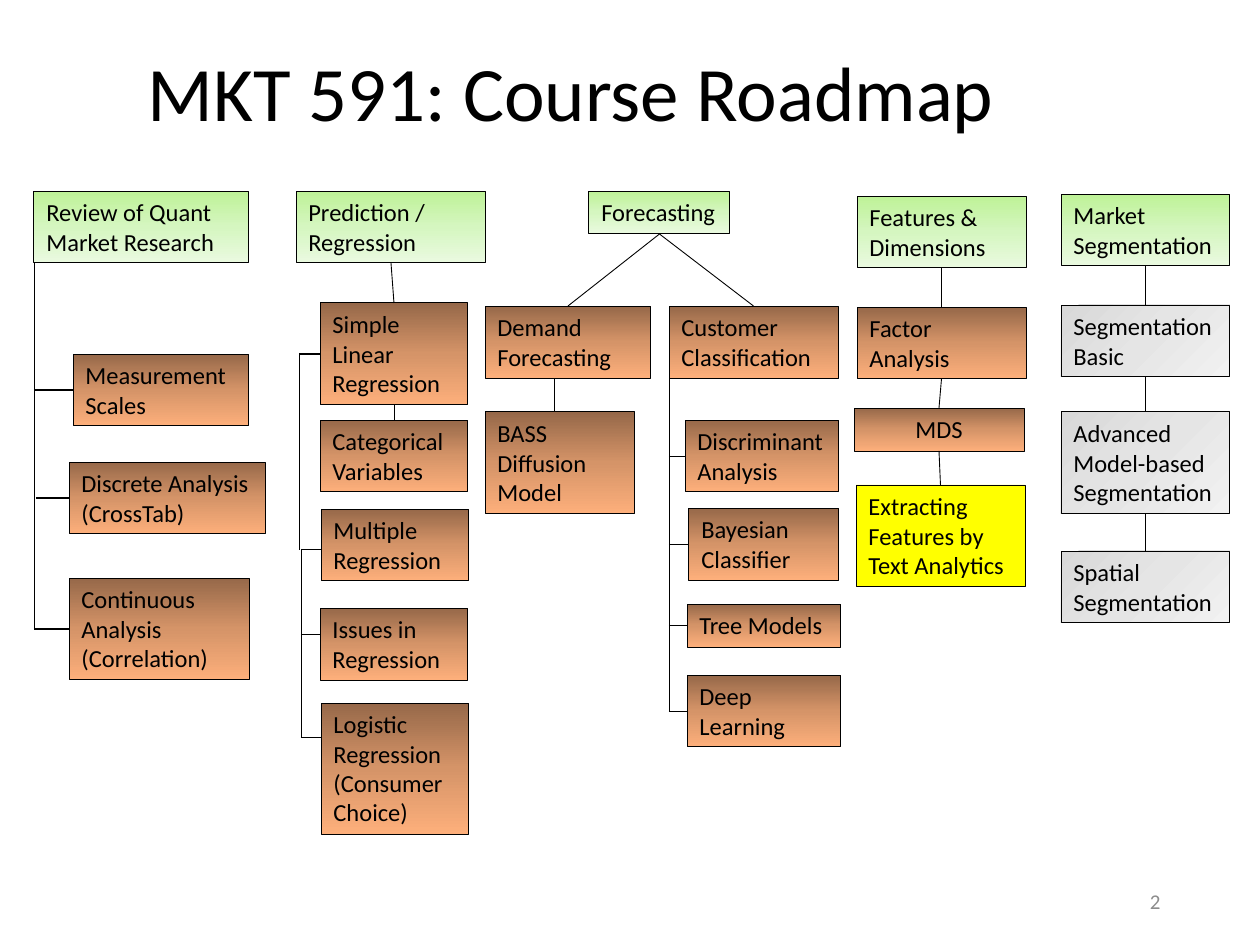
from copy import deepcopy

from lxml.etree import SubElement
from pptx import Presentation
from pptx.dml.color import RGBColor
from pptx.enum.shapes import MSO_CONNECTOR as CONNECTOR, MSO_SHAPE as SHAPE
from pptx.enum.text import MSO_ANCHOR as ANCHOR, MSO_AUTO_SIZE as AUTO_SIZE, PP_ALIGN as ALIGN
from pptx.oxml.ns import qn
from pptx.util import Emu, Pt

PX = 914400 / 126
FONT = "Calibri"
TOP, LEFT, BOTTOM = 0, 1, 2
COLORS = {"black": "000000", "number": "8C8C8C", "yellow": "FFFF00"}
GRADIENTS = {  # clockwise angle, then the stops at 0, 50 and 100 %
    "green": (90, ["BEF297", "D5F6C0", "EAFAE0"]),
    "copper": (90, ["966849", "D59468", "FDAF7B"]),
    "gray": (45, ["D8D8D8", "E5E5E5", "F2F2F2"]),
}
HEIGHTS = {1: 43, 2: 72, 3: 102, 4: 131}  # box height by number of text lines


def px(*lengths):
    """Turn pixel lengths into EMU."""
    return [Emu(round(length * PX)) for length in lengths]


def format_text(text_frame, size, color, align=ALIGN.LEFT):
    paragraph = text_frame.paragraphs[0]
    paragraph.alignment = align
    font = paragraph.runs[0].font
    font.name, font.size = FONT, Pt(size)
    font.color.rgb = RGBColor.from_string(COLORS[color])


presentation = Presentation()
presentation.slide_width, presentation.slide_height = px(1260, 945)
slide = presentation.slides.add_slide(presentation.slide_layouts[5])

# Title and slide number
title = slide.shapes.title
title.left, title.top, title.width, title.height = px(135, 4, 916, 186)
title.text_frame.text = "MKT 591: Course Roadmap"
title.text_frame.vertical_anchor = ANCHOR.MIDDLE
title.text_frame.auto_size = AUTO_SIZE.NONE
title.text_frame.paragraphs[0].line_spacing = 0.9
format_text(title.text_frame, 44, "black")

number = slide.shapes.add_textbox(*px(890, 876, 283, 50))
number.text_frame.text = "2"
number.text_frame.word_wrap = True
number.text_frame.vertical_anchor = ANCHOR.MIDDLE
format_text(number.text_frame, 12, "number", ALIGN.RIGHT)

# Topic boxes: text, fill, left, top, width, text lines
topics = [
    ("Review of Quant Market Research", "green", 34, 191, 215, 2),
    ("Measurement Scales", "copper", 73, 354, 176, 2),
    ("Discrete Analysis (CrossTab)", "copper", 69, 462, 196, 2),
    ("Continuous Analysis (Correlation)", "copper", 69, 578, 180, 3),
    ("Prediction / Regression", "green", 296, 191, 190, 2),
    ("Simple Linear Regression", "copper", 320, 303, 148, 3),
    ("Categorical Variables", "copper", 320, 420, 148, 2),
    ("Multiple Regression", "copper", 321, 509, 148, 2),
    ("Issues in Regression", "copper", 320, 608, 148, 2),
    ("Logistic Regression (Consumer Choice)", "copper", 321, 703, 148, 4),
    ("Forecasting", "green", 589, 191, 141, 1),
    ("Demand Forecasting", "copper", 485, 306, 166, 2),
    ("BASS Diffusion Model", "copper", 485, 412, 150, 3),
    ("Customer Classification", "copper", 669, 306, 169, 2),
    ("Discriminant Analysis", "copper", 685, 420, 154, 2),
    ("Bayesian Classifier", "copper", 689, 508, 150, 2),
    ("Tree Models", "copper", 687, 604, 154, 1),
    ("Deep Learning", "copper", 687, 675, 154, 2),
    ("Features & Dimensions", "green", 857, 196, 169, 2),
    ("Factor Analysis", "copper", 857, 307, 169, 2),
    ("MDS", "copper", 854, 408, 170, 1),
    ("Extracting Features by Text Analytics", "yellow", 856, 485, 169, 3),
    ("Market Segmentation", "green", 1061, 194, 169, 2),
    ("Segmentation Basic", "gray", 1061, 305, 169, 2),
    ("Advanced Model-based Segmentation", "gray", 1061, 412, 169, 3),
    ("Spatial Segmentation", "gray", 1061, 551, 169, 2),
]
boxes = {}
for text, fill_name, left, top, width, line_count in topics:
    box = slide.shapes.add_shape(SHAPE.RECTANGLE, *px(left, top, width, HEIGHTS[line_count]))
    boxes[text] = box
    box.shadow.inherit = False
    box.line.color.rgb = RGBColor.from_string(COLORS["black"])
    box.line.width = Pt(0.5)
    if fill_name in GRADIENTS:
        angle, stop_colors = GRADIENTS[fill_name]
        box.fill.gradient()
        box.fill.gradient_angle = 360 - angle
        stop_list = box._element.xpath(".//a:gsLst")[0]
        stop_list.insert(1, deepcopy(stop_list[0]))
        for index, stop in enumerate(box.fill.gradient_stops):
            stop.position = index / 2
            stop.color.rgb = RGBColor.from_string(stop_colors[index])
    else:
        box.fill.solid()
        box.fill.fore_color.rgb = RGBColor.from_string(COLORS[fill_name])
    box.text_frame.text = text
    box.text_frame.word_wrap = True
    box.text_frame.vertical_anchor = ANCHOR.TOP
    format_text(box.text_frame, 14, "black", ALIGN.CENTER if text == "MDS" else ALIGN.LEFT)

# Lines: start, end, weight
lines = [
    ((34, 263), (34, 629), 0.5),
    ((299, 353), (299, 550), 0.5),
    ((301, 549), (301, 738), 0.5),
    ((301, 549), (321, 549), 0.5),
    ((301, 634), (320, 634), 0.5),
    ((301, 737), (321, 737), 0.5),
    ((554, 378), (554, 412), 0.5),
    ((669, 378), (669, 711), 0.5),
]
connectors = []
for start, end, weight in lines:
    connectors.append((slide.shapes.add_connector(CONNECTOR.STRAIGHT, *px(*start, *end)), weight))

# Branches from a vertical line to the left side of a box
branches = [
    (34, "Measurement Scales", 1.5),
    (36, "Discrete Analysis (CrossTab)", 1.5),
    (34, "Continuous Analysis (Correlation)", 1.5),
    (300, "Simple Linear Regression", 1.5),
    (669, "Discriminant Analysis", 0.5),
    (669, "Bayesian Classifier", 0.5),
    (669, "Tree Models", 0.5),
    (669, "Deep Learning", 0.5),
]
for x, text, weight in branches:
    box = boxes[text]
    middle = box.top + box.height // 2
    connector = slide.shapes.add_connector(CONNECTOR.STRAIGHT, *px(x), middle, box.left, middle)
    connector.end_connect(box, LEFT)
    connectors.append((connector, weight))

# Links from the bottom of one box to the top of the next
links = [
    ("Prediction / Regression", "Simple Linear Regression"),
    ("Simple Linear Regression", "Categorical Variables"),
    ("Forecasting", "Demand Forecasting"),
    ("Forecasting", "Customer Classification"),
    ("Features & Dimensions", "Factor Analysis"),
    ("Factor Analysis", "MDS"),
    ("MDS", "Extracting Features by Text Analytics"),
    ("Market Segmentation", "Segmentation Basic"),
    ("Segmentation Basic", "Advanced Model-based Segmentation"),
    ("Advanced Model-based Segmentation", "Spatial Segmentation"),
]
for upper, lower in links:
    connector = slide.shapes.add_connector(CONNECTOR.STRAIGHT, 0, 0, 0, 0)
    connector.begin_connect(boxes[upper], BOTTOM)
    connector.end_connect(boxes[lower], TOP)
    connectors.append((connector, 0.5))

for connector, weight in connectors:
    connector.line.color.rgb = RGBColor.from_string(COLORS["black"])
    connector.line.width = Pt(weight)
    SubElement(connector._element.spPr, qn("a:effectLst"))

presentation.save("out.pptx")
